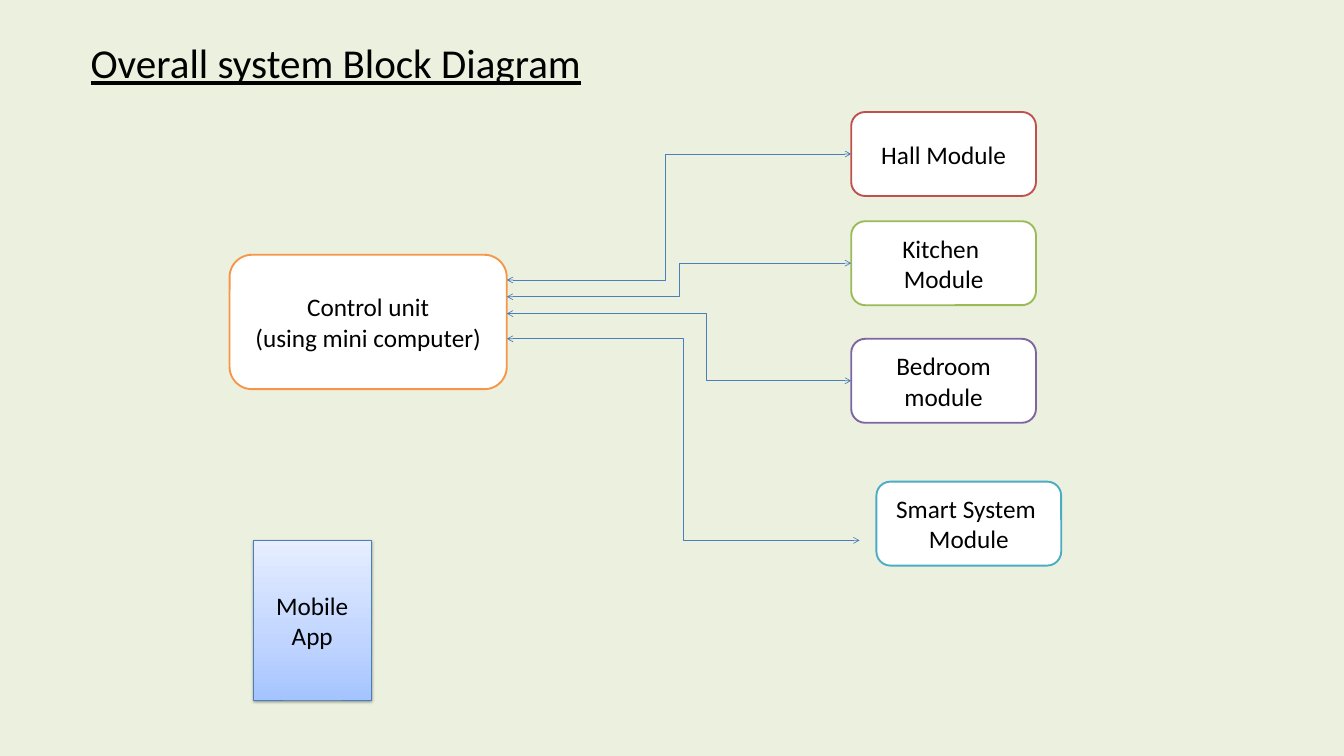
from copy import deepcopy

from lxml.etree import SubElement
from pptx import Presentation
from pptx.dml.color import RGBColor
from pptx.enum.shapes import MSO_CONNECTOR as CONNECTOR, MSO_SHAPE as SHAPE
from pptx.enum.text import MSO_ANCHOR as ANCHOR, PP_ALIGN as ALIGN
from pptx.oxml.ns import qn
from pptx.util import Inches, Pt

COLS, ROWS = 480, 270
CELL = Inches(20) // COLS
LEFT_SIDE = 1
COLORS = {
    "background": "EBF1DE", "text": "000000", "box": "FFFFFF", "link": "4B7EBC",
    "control": "F79646", "hall": "C0504D", "kitchen": "9BBB59",
    "bedroom": "8064A2", "smart": "4BACC6",
    "app_bottom": "A4C4FF", "app_middle": "BFD4FF", "app_top": "E6EEFF",
}
MODULES = [
    ("hall", ["Hall Module"], 304, 40),
    ("kitchen", ["Kitchen ", "Module"], 304, 79),
    ("bedroom", ["Bedroom module"], 304, 121),
    ("smart", ["Smart System ", "Module"], 313, 172),
]
LINKS = [("bedroom", 112, 0.58), ("kitchen", 106, 0.5), ("hall", 100, 0.46)]


def color(name):
    """Return the named colour."""
    return RGBColor.from_string(COLORS[name])


def cells(*counts):
    """Turn counts of grid cells into lengths."""
    return [count * CELL for count in counts]


def write(holder, lines, size, underline=None):
    """Write centred lines into a shape."""
    frame = holder.text_frame
    frame.word_wrap = True
    frame.vertical_anchor = ANCHOR.MIDDLE
    frame.margin_left = frame.margin_right = Inches(0.15)
    for index, line in enumerate(lines):
        paragraph = frame.add_paragraph() if index else frame.paragraphs[0]
        paragraph.alignment = ALIGN.CENTER
        run = paragraph.add_run()
        run.text = line
        run.font.name, run.font.size = "Calibri", Pt(size)
        run.font.underline = underline
        run.font.color.rgb = color("text")


def add_block(slide, kind, place, lines, outline, weight=2):
    """Add one labelled block of the diagram."""
    block = slide.shapes.add_shape(kind, *cells(*place))
    block.shadow.inherit = False
    block.fill.solid()
    block.fill.fore_color.rgb = color("box")
    block.line.color.rgb = color(outline)
    block.line.width = Pt(weight)
    write(block, lines, 27)
    return block


def shade(block):
    """Give a block a three-colour gradient and a soft shadow."""
    block.fill.gradient()
    block.fill.gradient_angle = 90
    stop_list = block._element.spPr.find(qn("a:gradFill")).find(qn("a:gsLst"))
    stop_list.insert(1, deepcopy(stop_list[0]))
    shades = [(0, "app_bottom"), (0.35, "app_middle"), (1, "app_top")]
    for stop, (position, name) in zip(block.fill.gradient_stops, shades):
        stop.position = position
        stop.color.rgb = color(name)
    effects = block._element.spPr.find(qn("a:effectLst"))
    shadow = SubElement(effects, qn("a:outerShdw"), blurRad=str(Pt(3.1)),
                        dist=str(Pt(1.6)), dir="5400000", rotWithShape="0")
    tint = SubElement(shadow, qn("a:srgbClr"), val=COLORS["text"])
    SubElement(tint, qn("a:alpha"), val="38000")


def add_link(slide, start, end, bend):
    """Add a two-headed elbow link that turns at a share of its width."""
    link = slide.shapes.add_connector(CONNECTOR.ELBOW, *cells(*start, *end))
    link.line.color.rgb = color("link")
    link.line.width = Pt(0.75)
    outline = link.line._get_or_add_ln()
    for tip in ("a:headEnd", "a:tailEnd"):
        SubElement(outline, qn(tip), type="arrow")
    properties = link._element.spPr
    SubElement(properties, qn("a:effectLst"))
    guides = properties.find(qn("a:prstGeom")).get_or_add_avLst()
    SubElement(guides, qn("a:gd"), name="adj1", fmla=f"val {round(bend * 100000)}")
    return link


def main():
    """Build the block diagram slide."""
    deck = Presentation()
    deck.slide_width, deck.slide_height = cells(COLS, ROWS)
    slide = deck.slides.add_slide(deck.slide_layouts[6])
    slide.background.fill.solid()
    slide.background.fill.fore_color.rgb = color("background")

    title = slide.shapes.add_textbox(*cells(12, 7.2, 216, 30))
    write(title, ["Overall system Block Diagram"], 44, underline=True)

    add_block(slide, SHAPE.ROUNDED_RECTANGLE, (82, 91, 99, 48),
              ["Control unit", "(using mini computer)"], "control")
    app = add_block(slide, SHAPE.RECTANGLE, (90.5, 193, 42, 57),
                    ["Mobile", "App"], "link", 0.75)
    shade(app)

    modules = {
        name: add_block(slide, SHAPE.ROUNDED_RECTANGLE, (left, top, 66, 30), lines, name)
        for name, lines, left, top in MODULES
    }
    control_edge = 82 + 99
    add_link(slide, (control_edge, 121), (307, 193), 0.5)
    for name, row, bend in LINKS:
        link = add_link(slide, (control_edge, row), (304, row), bend)
        link.end_connect(modules[name], LEFT_SIDE)

    deck.save("out.pptx")


if __name__ == "__main__":
    main()
